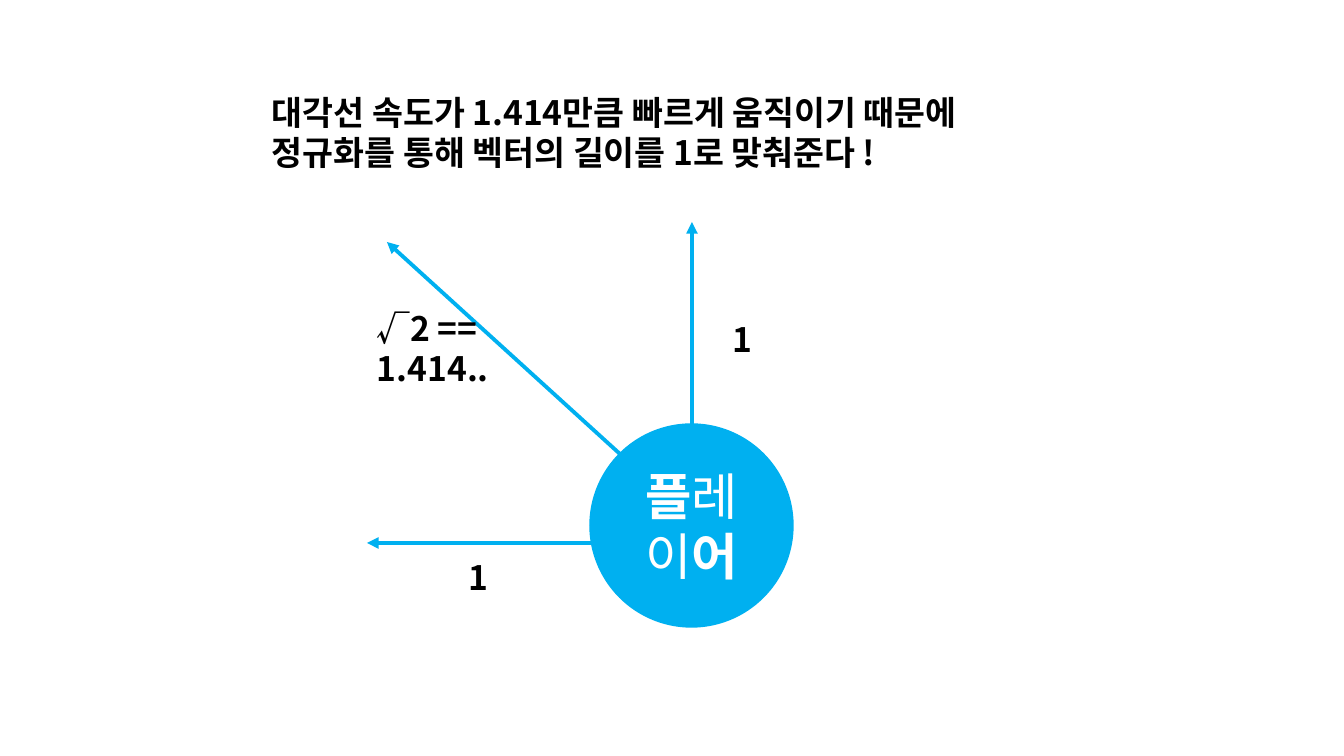
"""Build a slide on normalising a player's diagonal movement vector."""
from typing import NamedTuple

from lxml import etree
from pptx import Presentation
from pptx.dml.color import RGBColor
from pptx.enum.shapes import MSO_CONNECTOR, MSO_SHAPE
from pptx.enum.text import MSO_ANCHOR, MSO_AUTO_SIZE, PP_ALIGN
from pptx.oxml.ns import qn
from pptx.util import Emu, Pt

STRAIGHT = MSO_CONNECTOR.STRAIGHT
OVAL = MSO_SHAPE.OVAL
MIDDLE = MSO_ANCHOR.MIDDLE
GROW = MSO_AUTO_SIZE.SHAPE_TO_FIT_TEXT
LEFT, CENTER = PP_ALIGN.LEFT, PP_ALIGN.CENTER

EMU_PER_PIXEL = 914400 / 100.8
FONT = "Noto Sans CJK KR"
LINE_RATIO = 1.19
BLUE, BLACK, WHITE = "00B0F0", "000000", "FFFFFF"


class Span(NamedTuple):
    text: str
    bold: bool = True


class Arrow(NamedTuple):
    start: tuple[int, int]
    end: tuple[int, int]


class Label(NamedTuple):
    lines: list[str]
    left: int
    top: int
    width: int
    height: int


PLAYER_BOUNDS = (590, 424, 203, 203)
PLAYER_NAME = [Span("플"), Span("레이", bold=False), Span("어")]
ARROWS = [
    Arrow((692, 424), (692, 222)),
    Arrow((620, 454), (387, 242)),
    Arrow((592, 543), (367, 543)),
]
LABELS = [
    Label(["1"], 723, 314, 40, 50),
    Label(["1"], 459, 552, 40, 50),
    Label(["√2 == 1.414.."], 367, 303, 240, 50),
    Label(
        [
            "대각선 속도가 1.414만큼 빠르게 움직이기 때문에",
            "정규화를 통해 벡터의 길이를 1로 맞춰준다 !",
        ],
        262, 87, 778, 92,
    ),
]


def px(*values: int) -> list[Emu]:
    return [Emu(round(value * EMU_PER_PIXEL)) for value in values]


def color(value: str) -> RGBColor:
    return RGBColor.from_string(value)


def write(frame, lines: list[list[Span]], *, size: int, ink: str, align=LEFT) -> None:
    for index, spans in enumerate(lines):
        para = frame.paragraphs[0] if index == 0 else frame.add_paragraph()
        para.alignment = align
        para.line_spacing = Pt(size * LINE_RATIO)
        for span in spans:
            run = para.add_run()
            run.text = span.text
            run.font.size = Pt(size)
            run.font.bold = span.bold
            run.font.color.rgb = color(ink)
            run.font.name = FONT
            properties = run.font._element
            etree.SubElement(properties, qn("a:ea"), typeface=FONT)


def draw_player(page) -> None:
    player = page.shapes.add_shape(OVAL, *px(*PLAYER_BOUNDS))
    player.shadow.inherit = False
    player.fill.solid()
    player.fill.fore_color.rgb = color(BLUE)
    player.line.color.rgb = color(BLUE)
    player.line.width = Pt(1)
    frame = player.text_frame
    frame.word_wrap = True
    frame.vertical_anchor = MIDDLE
    write(frame, [PLAYER_NAME], size=36, ink=WHITE, align=CENTER)


def draw_arrow(page, arrow: Arrow) -> None:
    connector = page.shapes.add_connector(STRAIGHT, *px(*arrow.start, *arrow.end))
    connector.line.color.rgb = color(BLUE)
    connector.line.width = Pt(2.75)
    properties = connector._element.spPr
    etree.SubElement(properties.find(qn("a:ln")), qn("a:tailEnd"), type="triangle")
    etree.SubElement(properties, qn("a:effectLst"))


def draw_label(page, label: Label) -> None:
    bounds = px(label.left, label.top, label.width, label.height)
    frame = page.shapes.add_textbox(*bounds).text_frame
    frame.word_wrap = False
    frame.auto_size = GROW
    write(frame, [[Span(line)] for line in label.lines], size=24, ink=BLACK)


def main() -> None:
    deck = Presentation()
    deck.slide_width, deck.slide_height = px(1344, 756)
    page = deck.slides.add_slide(deck.slide_layouts[6])
    draw_player(page)
    for arrow in ARROWS:
        draw_arrow(page, arrow)
    for label in LABELS:
        draw_label(page, label)
    deck.save("out.pptx")


main()
